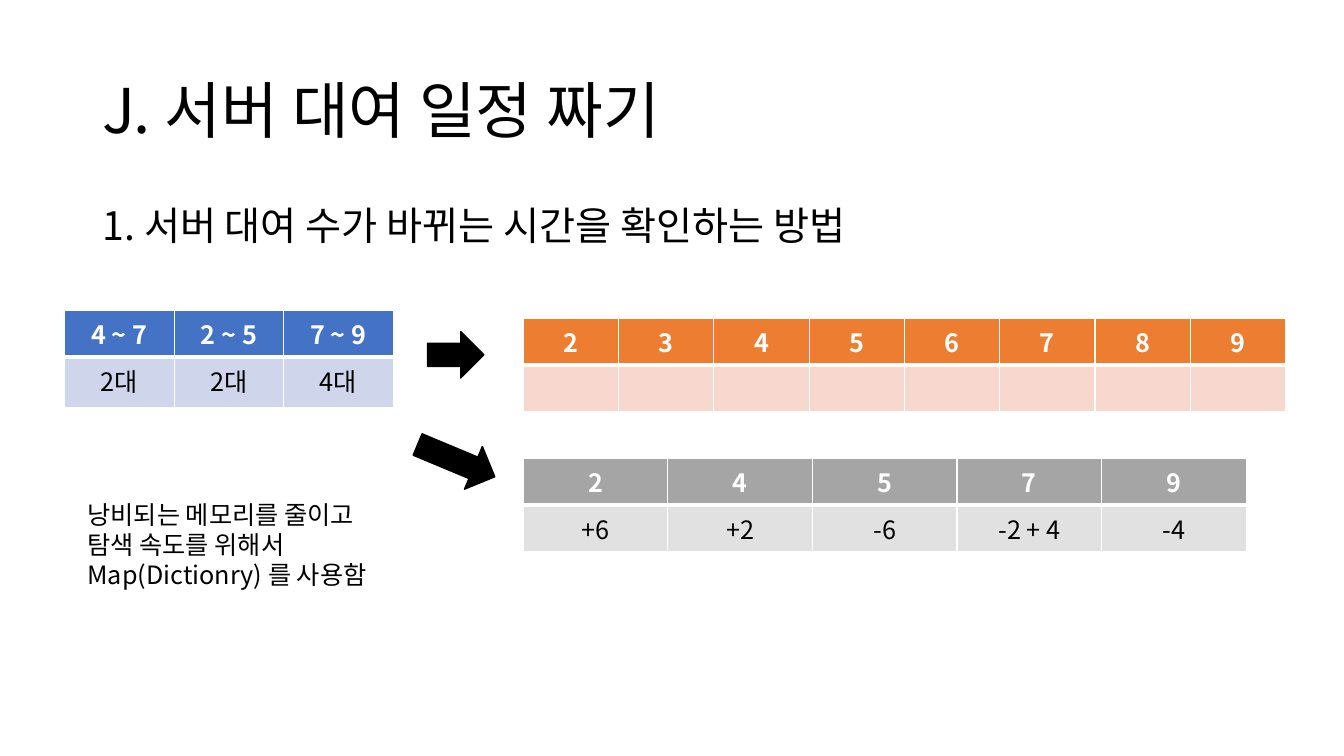
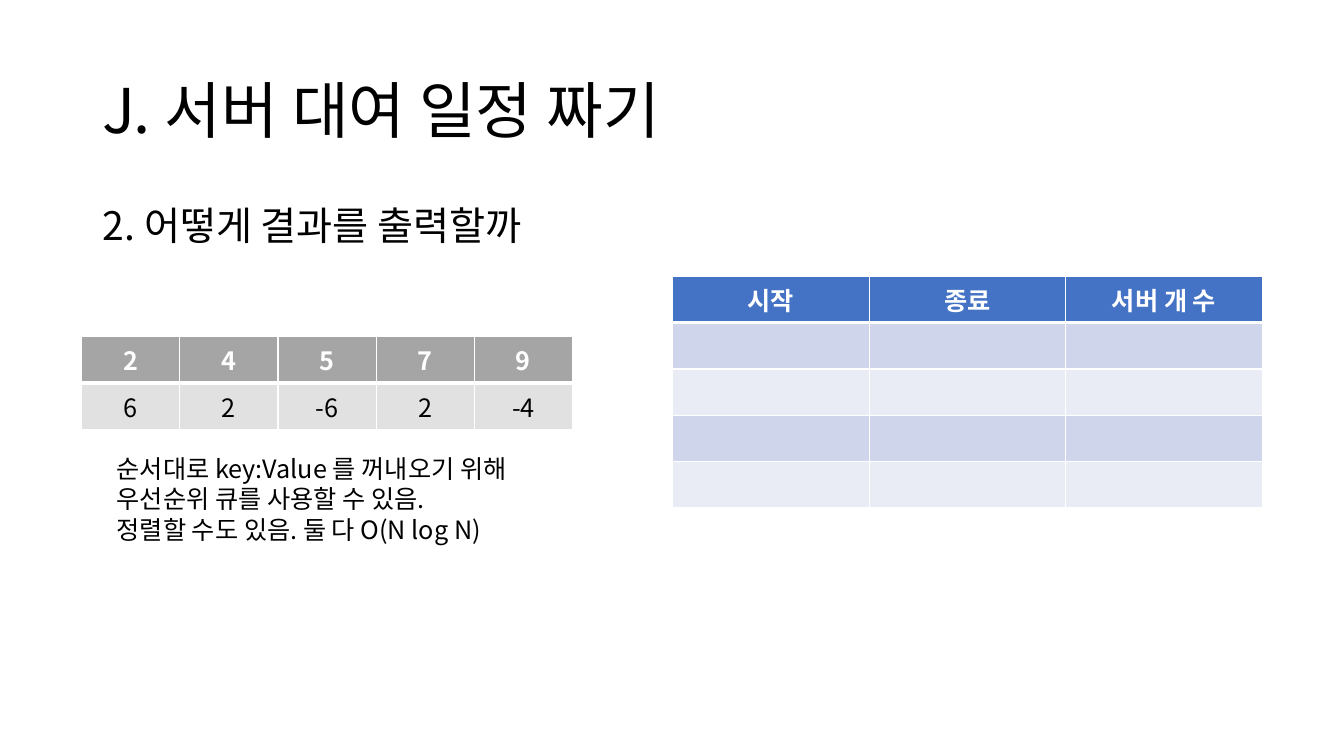
import dataclasses

import lxml.etree
import pptx
import pptx.dml.color
import pptx.enum.shapes
import pptx.enum.text
import pptx.oxml.ns
import pptx.util

Inches = pptx.util.Inches
Pt = pptx.util.Pt
qn = pptx.oxml.ns.qn
rgb = pptx.dml.color.RGBColor.from_string
Align = pptx.enum.text.PP_ALIGN
Anchor = pptx.enum.text.MSO_ANCHOR


@dataclasses.dataclass(frozen=True)
class Theme:
    font: str = "Noto Sans CJK KR"
    ink: str = "000000"
    paper: str = "FFFFFF"
    blue: tuple = ("4472C4", "CFD5EA", "E9EBF5")
    orange: tuple = ("ED7D31", "F8D7CE")
    gray: tuple = ("A5A5A5", "E1E1E1")
    title: int = 44
    heading: int = 28
    body: int = 18
    rule: int = 1
    header_rule: int = 3


theme = Theme()


def write_text(frame, text, size=theme.body, color=theme.ink, bold=False,
               align=Align.LEFT, anchor=Anchor.TOP, spacing=1.0, before=0):
    frame.word_wrap = True
    frame.vertical_anchor = anchor
    for number, line in enumerate(text.split("\n")):
        paragraph = frame.add_paragraph() if number else frame.paragraphs[0]
        paragraph.alignment = align
        paragraph.line_spacing = spacing
        paragraph.space_before = Pt(before)
        run = paragraph.add_run()
        run.text = line
        run.font.name = theme.font
        run.font.size = Pt(size)
        run.font.bold = bold
        run.font.color.rgb = rgb(color)
        east_asian = lxml.etree.SubElement(run.font._element, qn("a:ea"))
        east_asian.set("typeface", theme.font)


def add_grid(slide, left, top, width, rows, palette, heights):
    columns = len(rows[0])
    table = slide.shapes.add_table(
        len(rows), columns, Inches(left), Inches(top),
        Inches(width), Inches(sum(heights))).table
    for column in table.columns:
        column.width = Inches(width / columns)
    for r, values in enumerate(rows):
        table.rows[r].height = Inches(heights[r])
        header = r == 0
        bands = palette[1:]
        fill = palette[0] if header else bands[(r - 1) % len(bands)]
        rules = {
            "a:lnL": theme.rule,
            "a:lnR": theme.rule,
            "a:lnT": theme.header_rule if r == 1 else theme.rule,
            "a:lnB": theme.header_rule if header else theme.rule,
        }
        for c, value in enumerate(values):
            cell = table.cell(r, c)
            cell.fill.solid()
            cell.fill.fore_color.rgb = rgb(fill)
            properties = cell._tc.get_or_add_tcPr()
            for position, (side, weight) in enumerate(rules.items()):
                border = lxml.etree.Element(qn(side), w=str(Pt(weight)))
                solid = lxml.etree.SubElement(border, qn("a:solidFill"))
                lxml.etree.SubElement(solid, qn("a:srgbClr"), val=theme.paper)
                properties.insert(position, border)
            if value:
                write_text(cell.text_frame, value, bold=header, align=Align.CENTER,
                           color=theme.paper if header else theme.ink)


deck = pptx.Presentation()
deck.slide_width = Inches(13.33)
deck.slide_height = Inches(7.5)

pages = [
    {
        "heading": "1. 서버 대여 수가 바뀌는 시간을 확인하는 방법",
        "grids": [
            (0.64, 3.08, 3.26, [["4 ~ 7", "2 ~ 5", "7 ~ 9"], ["2대", "2대", "4대"]],
             theme.blue, [0.46, 0.5]),
            (5.19, 3.16, 7.56, [list("23456789"), [""] * 8], theme.orange, [0.46] * 2),
            (5.19, 4.55, 7.17, [list("24579"), ["+6", "+2", "-6", "-2 + 4", "-4"]],
             theme.gray, [0.46] * 2),
        ],
        "arrows": [(4.24, 3.29, 0.56, 0.46, 0), (4.11, 4.34, 0.83, 0.46, 22.7)],
        "note": (0.77, 4.9, 4.27,
                 "낭비되는 메모리를 줄이고\n탐색 속도를 위해서\nMap(Dictionry) 를 사용함"),
    },
    {
        "heading": "2. 어떻게 결과를 출력할까",
        "grids": [
            (0.81, 3.34, 4.87, [list("24579"), ["6", "2", "-6", "2", "-4"]],
             theme.gray, [0.46] * 2),
            (6.67, 2.74, 5.85, [["시작", "종료", "서버 개 수"]] + [[""] * 3] * 4,
             theme.blue, [0.46] * 5),
        ],
        "arrows": [],
        "note": (1.06, 4.45, 4.55,
                 "순서대로 key:Value 를 꺼내오기 위해\n우선순위 큐를 사용할 수 있음.\n"
                 "정렬할 수도 있음. 둘 다 O(N log N)"),
    },
]

for page in pages:
    slide = deck.slides.add_slide(deck.slide_layouts[6])
    slide.background.fill.solid()
    slide.background.fill.fore_color.rgb = rgb(theme.paper)

    title = slide.shapes.add_textbox(Inches(0.92), Inches(0.4), Inches(11.5), Inches(1.45))
    write_text(title.text_frame, "J. 서버 대여 일정 짜기", size=theme.title,
               anchor=Anchor.MIDDLE, spacing=0.9)
    heading = slide.shapes.add_textbox(Inches(0.92), Inches(2), Inches(11.5), Inches(4.76))
    write_text(heading.text_frame, page["heading"], size=theme.heading,
               spacing=0.9, before=10)

    for grid in page["grids"]:
        add_grid(slide, *grid)

    for left, top, width, height, angle in page["arrows"]:
        arrow = slide.shapes.add_shape(
            pptx.enum.shapes.MSO_SHAPE.RIGHT_ARROW,
            Inches(left), Inches(top), Inches(width), Inches(height))
        arrow.rotation = angle
        arrow.shadow.inherit = False
        arrow.fill.solid()
        arrow.fill.fore_color.rgb = rgb(theme.ink)
        arrow.line.color.rgb = rgb(theme.ink)
        arrow.line.width = Pt(theme.rule)

    left, top, width, words = page["note"]
    note = slide.shapes.add_textbox(Inches(left), Inches(top), Inches(width), Inches(1.01))
    write_text(note.text_frame, words)

deck.save("out.pptx")
